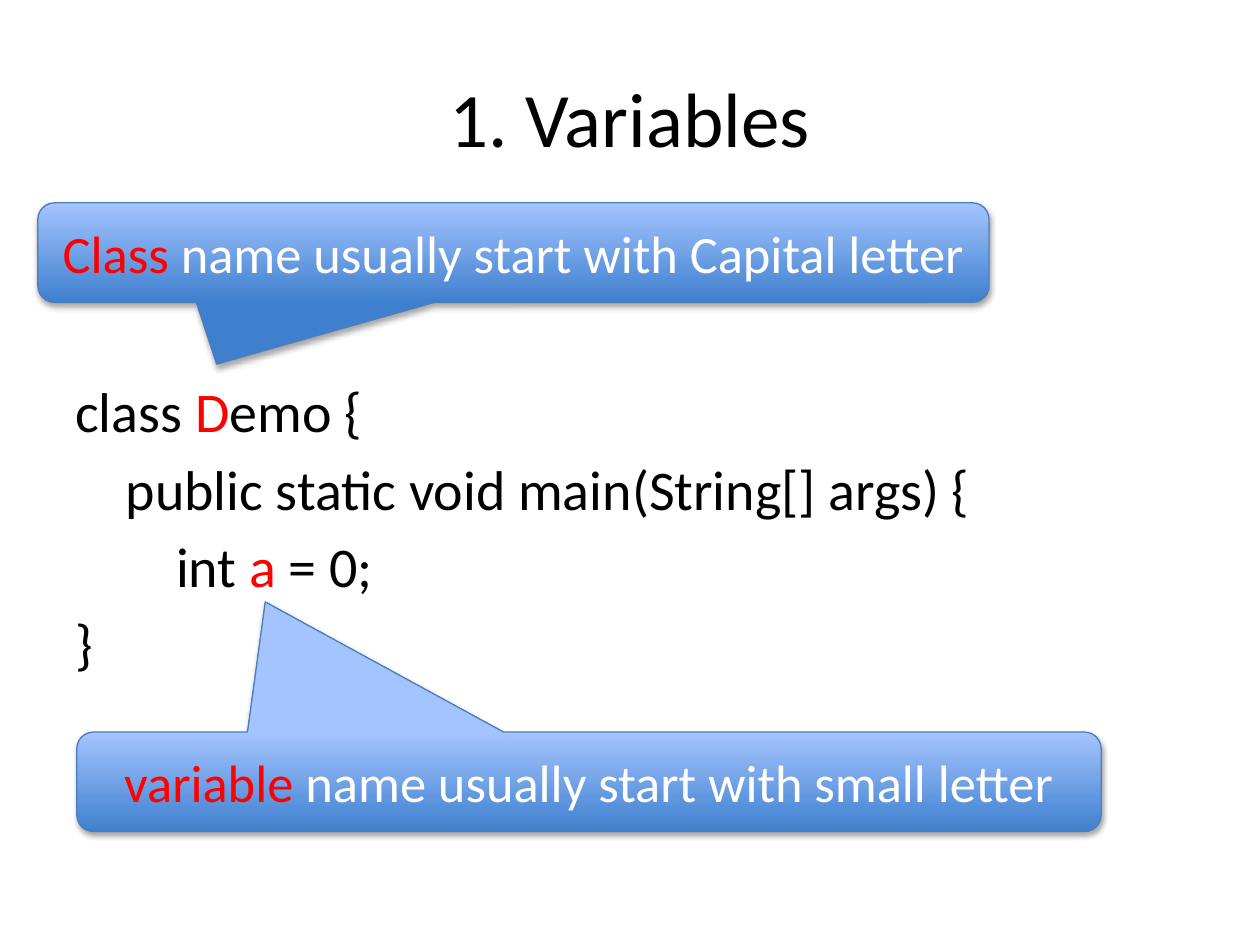
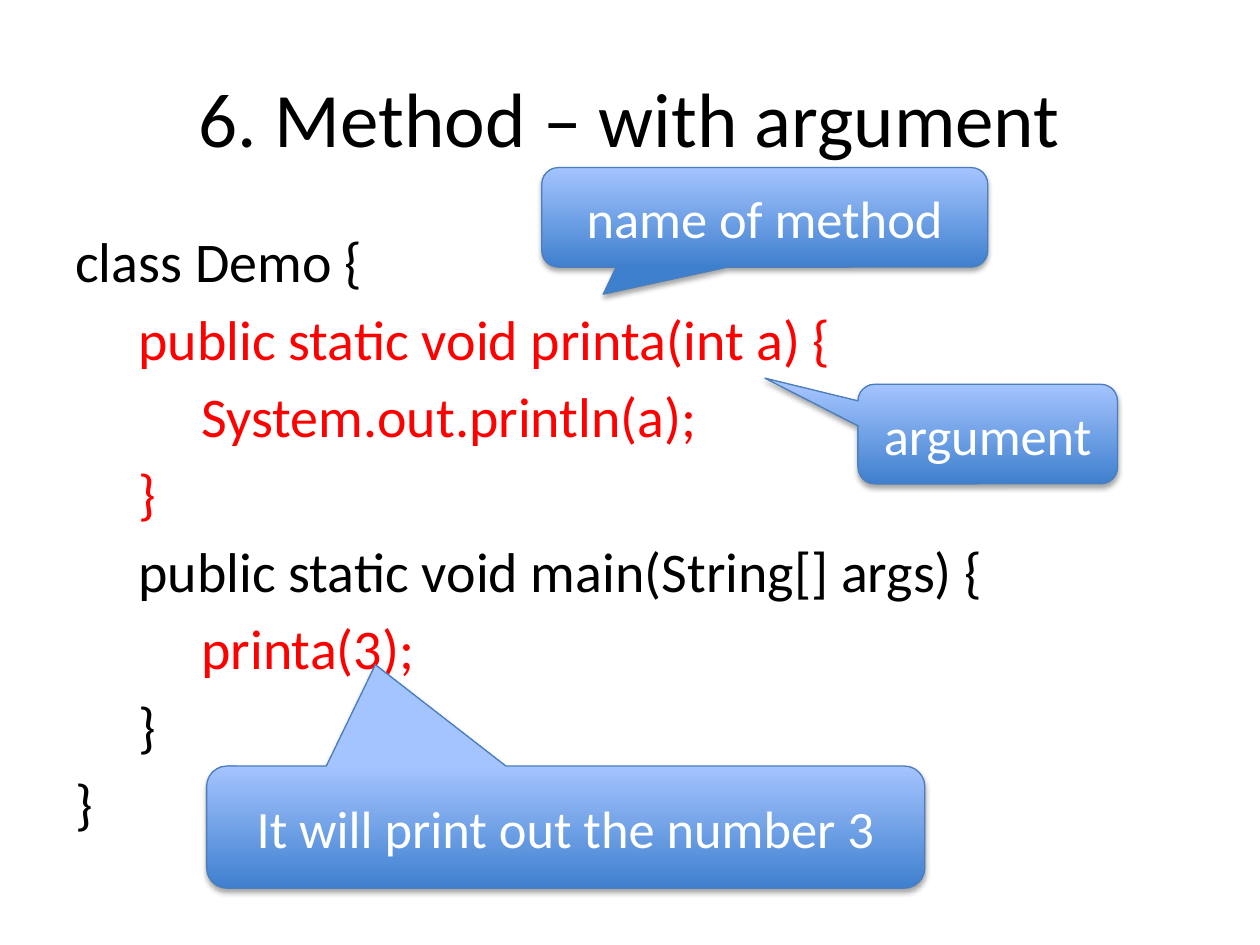
"""Builds two slides on Java variables and methods, with callouts over code."""
from lxml.etree import SubElement
from pptx import Presentation
from pptx.dml.color import RGBColor
from pptx.enum.shapes import MSO_SHAPE
from pptx.enum.text import MSO_ANCHOR, PP_ALIGN
from pptx.oxml.ns import qn
from pptx.util import Inches, Pt

FONT = "Calibri"
BLACK, RED, WHITE = "000000", "FF0000", "FFFFFF"
CALLOUT_DARK, CALLOUT_LIGHT, CALLOUT_EDGE = "3F80CE", "A4C4FF", "4B7EBC"
TITLE_PLACE = (0.5, 0.3, 9, 1.25)

SLIDES = [
    {
        "title": "1. Variables",
        "code_place": (0.5, 2.94, 9, 3.37),
        "indent": 0.4,
        "code": [
            (0, [("class ", BLACK), ("D", RED), ("emo {", BLACK)]),
            (1, [("public static void main(String[] args) {", BLACK)]),
            (2, [("int ", BLACK), ("a", RED), (" = 0;", BLACK)]),
            (0, [("}", BLACK)]),
        ],
        "callouts": [
            ((0.3, 1.61, 7.55, 0.79), (-0.312, 1.12),
             [("Class", RED), (" name usually start with Capital letter", WHITE)]),
            ((0.61, 5.81, 8.13, 0.79), (-0.316, -1.807),
             [("variable", RED), (" name usually start with small letter", WHITE)]),
        ],
    },
    {
        "title": "6. Method – with argument",
        "code_place": (0.5, 1.75, 9, 4.95),
        "indent": 0.5,
        "code": [
            (0, [("class Demo {", BLACK)]),
            (1, [("public static void printa(int a) {", RED)]),
            (2, [("System.out.println(a);", RED)]),
            (1, [("}", RED)]),
            (1, [("public static void main(String[] args) {", BLACK)]),
            (2, [("printa(3);", RED)]),
            (1, [("}", BLACK)]),
            (0, [("}", BLACK)]),
        ],
        "callouts": [
            ((6.81, 3.05, 2.06, 0.79), (-0.859, -0.562), [("argument", WHITE)]),
            ((1.64, 6.08, 5.7, 0.97), (-0.265, -1.329),
             [("It will print out the number 3", WHITE)]),
            ((4.3, 1.33, 3.54, 0.79), (-0.362, 0.772), [("name of method", WHITE)]),
        ],
    },
]


def color(hex_code):
    return RGBColor.from_string(hex_code)


def inches(place):
    return [Inches(length) for length in place]


def write(para, spans, size, align=PP_ALIGN.LEFT):
    para.alignment = align
    para.font.name, para.font.size = FONT, Pt(size)
    for text, hex_code in spans:
        span = para.add_run()
        span.text = text
        span.font.color.rgb = color(hex_code)


def add_text_frame(page, place, anchor):
    frame = page.shapes.add_textbox(*inches(place)).text_frame
    frame.word_wrap = True
    frame.vertical_anchor = anchor
    return frame


def add_title(page, title):
    frame = add_text_frame(page, TITLE_PLACE, MSO_ANCHOR.MIDDLE)
    write(frame.paragraphs[0], [(title, BLACK)], 44, PP_ALIGN.CENTER)


def add_code(page, place, lines, indent):
    frame = add_text_frame(page, place, MSO_ANCHOR.TOP)
    for number, (level, spans) in enumerate(lines):
        para = frame.add_paragraph() if number else frame.paragraphs[0]
        para.space_before = Pt(5.8)
        para._p.get_or_add_pPr().set("marL", str(Inches(level * indent)))
        write(para, spans, 32)


def add_shadow(shape):
    shape.shadow.inherit = False
    effects = shape._element.spPr.find(qn("a:effectLst"))
    shadow = SubElement(effects, qn("a:outerShdw"), blurRad=str(Pt(3.1)),
                        dist=str(Pt(1.8)), dir="5400000", rotWithShape="0")
    tint = SubElement(shadow, qn("a:srgbClr"), val=BLACK)
    SubElement(tint, qn("a:alpha"), val="35000")


def add_callout(page, place, tip, spans):
    shape = page.shapes.add_shape(MSO_SHAPE.ROUNDED_RECTANGULAR_CALLOUT, *inches(place))
    for index, value in enumerate((*tip, 0.167)):
        shape.adjustments[index] = value
    shape.fill.gradient()
    shape.fill.gradient_angle = 90
    for stop, hex_code in zip(shape.fill.gradient_stops, (CALLOUT_DARK, CALLOUT_LIGHT)):
        stop.color.rgb = color(hex_code)
    shape.line.color.rgb = color(CALLOUT_EDGE)
    shape.line.width = Pt(0.75)
    add_shadow(shape)
    frame = shape.text_frame
    frame.word_wrap = True
    frame.vertical_anchor = MSO_ANCHOR.MIDDLE
    write(frame.paragraphs[0], spans, 30, PP_ALIGN.CENTER)


deck = Presentation()
deck.slide_width, deck.slide_height = Inches(10), Inches(7.5)
for content in SLIDES:
    page = deck.slides.add_slide(deck.slide_layouts[6])
    add_title(page, content["title"])
    add_code(page, content["code_place"], content["code"], content["indent"])
    for callout in content["callouts"]:
        add_callout(page, *callout)
deck.save("out.pptx")
